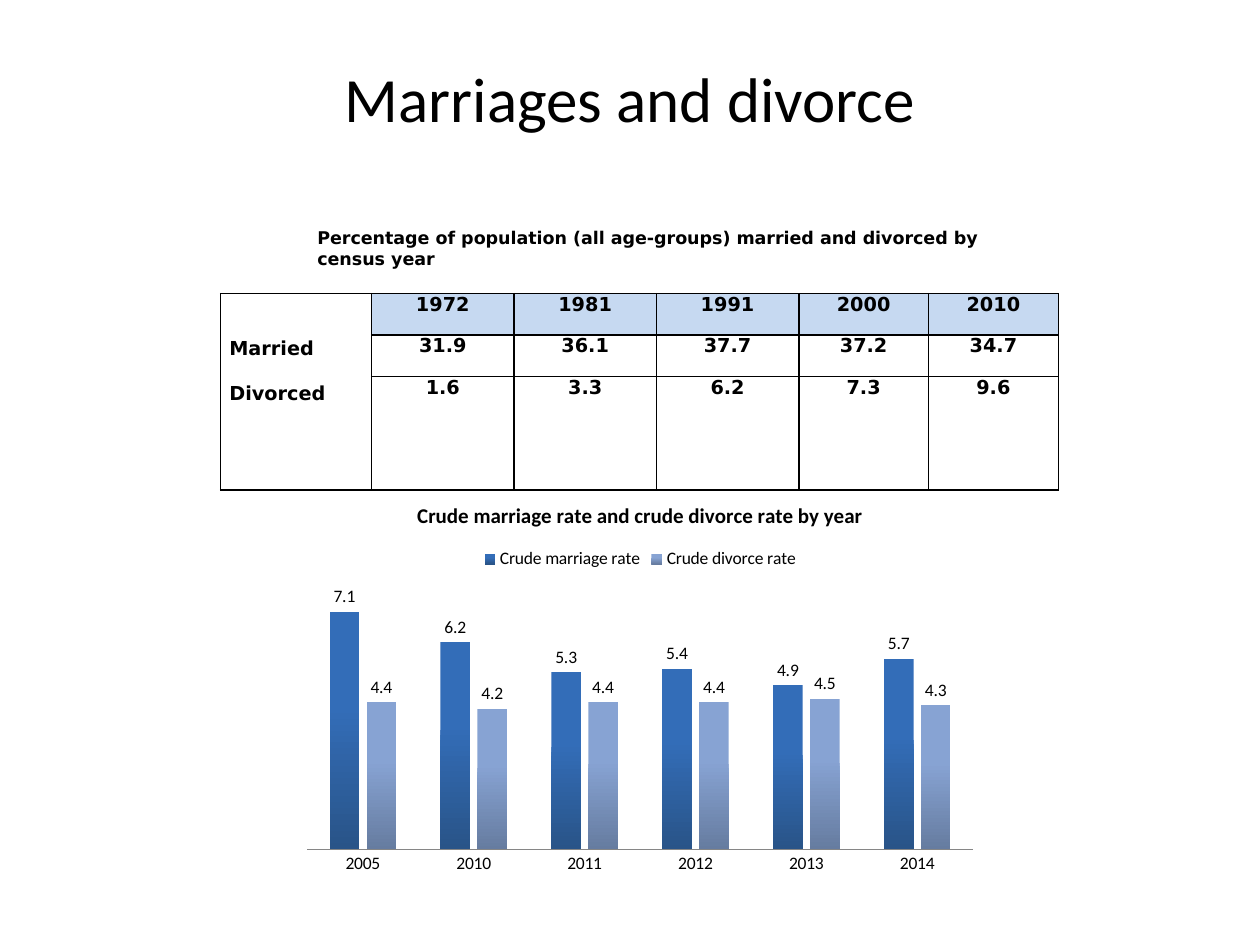
from lxml import etree
from pptx import Presentation
from pptx.chart.data import CategoryChartData
from pptx.dml.color import RGBColor
from pptx.enum.chart import XL_CHART_TYPE, XL_LABEL_POSITION, XL_LEGEND_POSITION, XL_TICK_MARK
from pptx.enum.text import MSO_ANCHOR, PP_ALIGN
from pptx.oxml.ns import qn
from pptx.util import Inches, Pt

COLUMNS = XL_CHART_TYPE.COLUMN_CLUSTERED
OUTSIDE_END = XL_LABEL_POSITION.OUTSIDE_END
LEGEND_TOP = XL_LEGEND_POSITION.TOP
NO_TICK = XL_TICK_MARK.NONE
MIDDLE = MSO_ANCHOR.MIDDLE
LEFT, CENTER, JUSTIFY = PP_ALIGN.LEFT, PP_ALIGN.CENTER, PP_ALIGN.JUSTIFY

COLORS = {
    "text": "000000",
    "border": "000000",
    "white": "FFFFFF",
    "header": "C6D9F1",
    "axis": "868686",
    "marriage_top": "336DB8",
    "marriage_bottom": "295488",
    "divorce_top": "87A3D3",
    "divorce_bottom": "667CA0",
}
HEADING_FONT, TABLE_FONT = "Calibri", "DejaVu Sans"

CENSUS_LABELS = ["Married", "Divorced"]
CENSUS_ROWS = [
    ["1972", "1981", "1991", "2000", "2010"],
    ["31.9", "36.1", "37.7", "37.2", "34.7"],
    ["1.6", "3.3", "6.2", "7.3", "9.6"],
]
COLUMN_WIDTHS = [1.2, 1.13, 1.13, 1.13, 1.03, 1.03]
ROW_HEIGHTS = [0.33, 0.33, 0.89]

RATE_YEARS = ["2005", "2010", "2011", "2012", "2013", "2014"]
RATES = [
    ("Crude marriage rate", [7.1, 6.2, 5.3, 5.4, 4.9, 5.7], "marriage"),
    ("Crude divorce rate", [4.4, 4.2, 4.4, 4.4, 4.5, 4.3], "divorce"),
]


def color(name):
    return RGBColor.from_string(COLORS[name])


def style_font(font, name, size, bold=False):
    font.name, font.size, font.bold = name, Pt(size), bold
    font.color.rgb = color("text")


def add_text(page, text, left, top, width, height, font, size, bold=False, align=LEFT):
    box = page.shapes.add_textbox(Inches(left), Inches(top), Inches(width), Inches(height))
    frame = box.text_frame
    frame.word_wrap = True
    frame.vertical_anchor = MIDDLE
    para = frame.paragraphs[0]
    para.text = text
    para.alignment = align
    style_font(para.font, font, size, bold)


def add_borders(cell):
    properties = cell._tc.get_or_add_tcPr()
    for side in ("a:lnL", "a:lnR", "a:lnT", "a:lnB"):
        line = etree.SubElement(properties, qn(side), w=str(Pt(1)))
        fill = etree.SubElement(line, qn("a:solidFill"))
        etree.SubElement(fill, qn("a:srgbClr"), val=COLORS["border"])


def fill_cell(cell, lines, align, fill=None):
    cell.margin_left = cell.margin_right = Inches(0.07)
    cell.margin_top = cell.margin_bottom = 0
    cell.text = "\n".join(lines)
    for index, para in enumerate(cell.text_frame.paragraphs):
        para.alignment = align
        if index:
            para.space_before = Pt(13)
        style_font(para.font, TABLE_FONT, 11, bold=True)
    if fill:
        cell.fill.solid()
        cell.fill.fore_color.rgb = color(fill)
    else:
        cell.fill.background()


def add_census_table(page):
    frame = page.shapes.add_table(
        len(ROW_HEIGHTS), len(COLUMN_WIDTHS), Inches(1.75), Inches(2.33),
        Inches(sum(COLUMN_WIDTHS)), Inches(sum(ROW_HEIGHTS)))
    table = frame.table
    table.first_row = table.horz_banding = False
    for column, width in zip(table.columns, COLUMN_WIDTHS):
        column.width = Inches(width)
    for row, height in zip(table.rows, ROW_HEIGHTS):
        row.height = Inches(height)
    for cell in table.iter_cells():
        add_borders(cell)

    label_cell = table.cell(0, 0)
    label_cell.merge(table.cell(len(ROW_HEIGHTS) - 1, 0))
    fill_cell(label_cell, CENSUS_LABELS, JUSTIFY, "white")
    label_cell.margin_top = Inches(0.35)
    for row, values in enumerate(CENSUS_ROWS):
        for column, value in enumerate(values, start=1):
            fill = "header" if row == 0 else None
            fill_cell(table.cell(row, column), [value], CENTER, fill)


def style_series(series, name):
    """Shade the columns from top to bottom and label them with their values."""
    fill = series.format.fill
    fill.gradient()
    fill.gradient_angle = 270
    for stop, end, position in zip(fill.gradient_stops, ("top", "bottom"), (0.4, 1)):
        stop.color.rgb = color(f"{name}_{end}")
        stop.position = position
    labels = series.data_labels
    labels.show_value = True
    labels.position = OUTSIDE_END
    style_font(labels.font, HEADING_FONT, 10)


def add_rate_chart(page):
    data = CategoryChartData(number_format="0.0")
    data.categories = RATE_YEARS
    for label, values, _ in RATES:
        data.add_series(label, values)
    chart = page.shapes.add_chart(
        COLUMNS, Inches(2.33), Inches(3.83), Inches(5.5), Inches(3.17), data).chart
    style_font(chart.font, HEADING_FONT, 10)

    chart.has_title = True
    title = chart.chart_title.text_frame
    title.text = "Crude marriage rate and crude divorce rate by year"
    style_font(title.paragraphs[0].font, HEADING_FONT, 12, bold=True)
    chart.has_legend = True
    chart.legend.position = LEGEND_TOP
    chart.legend.include_in_layout = False

    years = chart.category_axis
    years.major_tick_mark = years.minor_tick_mark = NO_TICK
    years.format.line.color.rgb = color("axis")
    scale = chart.value_axis
    scale.minimum_scale, scale.maximum_scale = 0, 8
    scale.has_major_gridlines = False
    scale.visible = False

    plot = chart.plots[0]
    plot.gap_width, plot.overlap = 150, -25
    plot.vary_by_categories = False
    for series, (_, _, name) in zip(plot.series, RATES):
        style_series(series, name)


def main():
    deck = Presentation()
    deck.slide_width, deck.slide_height = Inches(10), Inches(7.5)
    page = deck.slides.add_slide(deck.slide_layouts[6])
    add_text(page, "Marriages and divorce", 0.5, 0.3, 9, 0.95,
             HEADING_FONT, 36, align=CENTER)
    add_census_table(page)
    add_text(page, "Percentage of population (all age-groups) married and divorced by census year",
             2.42, 1.75, 5.75, 0.44, TABLE_FONT, 10, bold=True)
    add_rate_chart(page)
    deck.save("out.pptx")


if __name__ == "__main__":
    main()
